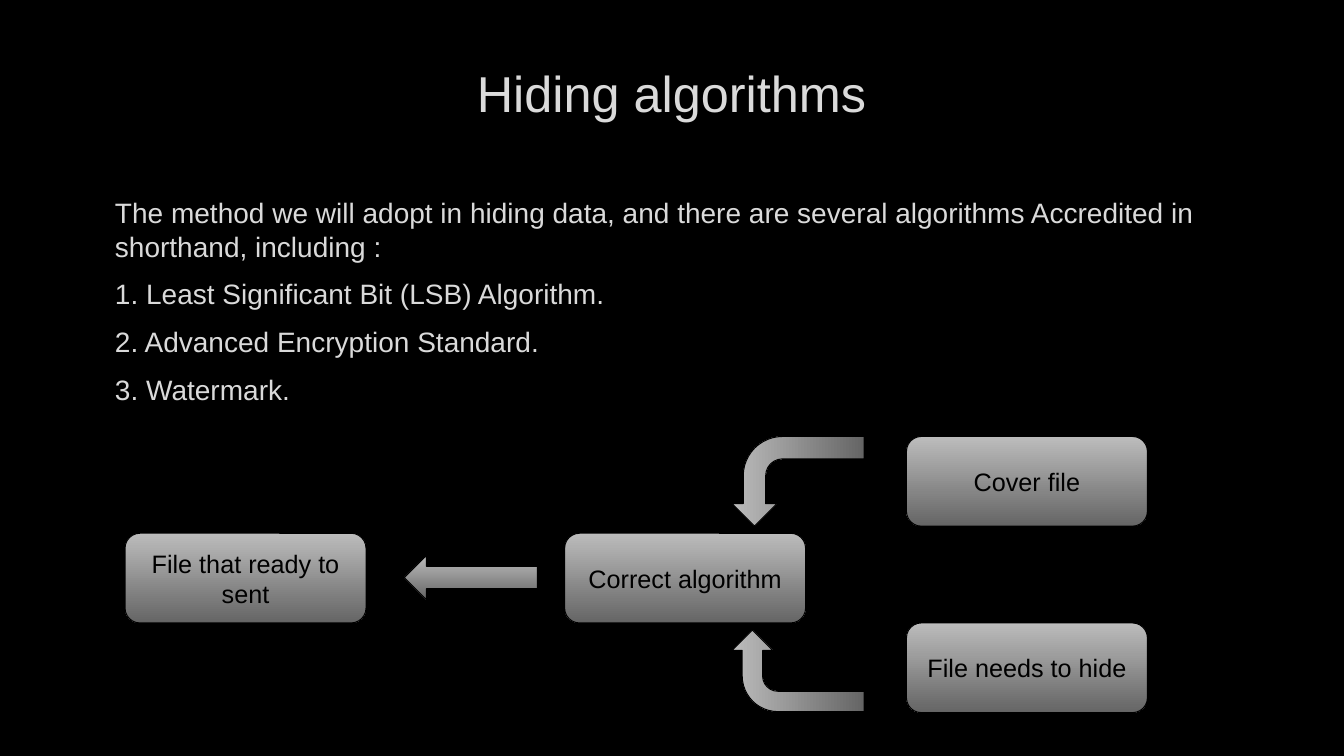
from lxml.etree import SubElement
from pptx import Presentation
from pptx.dml.color import RGBColor
from pptx.enum.shapes import MSO_SHAPE
from pptx.enum.text import MSO_ANCHOR, MSO_AUTO_SIZE, PP_ALIGN
from pptx.oxml import parse_xml
from pptx.oxml.ns import nsdecls, qn
from pptx.util import Inches, Pt

COLORS = {
    "background": "000000",
    "text": "DADADA",
    "outline": "404040",
    "light": "BCBCBC",
    "dark": "656565",
    "black": "000000",
}
FONT = "Arial"
BOX_WIDTH, BOX_HEIGHT = 2.39, 0.89


def color(name):
    return RGBColor.from_string(COLORS[name])


def apply(target, values):
    for name, value in values.items():
        setattr(target, name, value)


class SlideBuilder:
    """Holds the style and the slide being built."""

    def __init__(self, presentation):
        self.slide = presentation.slides.add_slide(presentation.slide_layouts[1])
        background = self.slide.background.fill
        background.solid()
        background.fore_color.rgb = color("background")

    def add_text(self, paragraph, text, size, color_name, **formats):
        run = paragraph.add_run()
        run.text = text
        apply(run.font, {"name": FONT, "size": Pt(size)})
        run.font.color.rgb = color(color_name)
        apply(paragraph, formats)
        return run

    def outline(self, run):
        line = parse_xml(
            f'<a:ln {nsdecls("a")} w="9525"><a:solidFill>'
            f'<a:srgbClr val="{COLORS["outline"]}"><a:alpha val="10000"/></a:srgbClr>'
            '</a:solidFill><a:prstDash val="solid"/></a:ln>')
        run._r.get_or_add_rPr().insert(0, line)

    def place(self, shape, left, top, width, height):
        apply(shape, {"left": Inches(left), "top": Inches(top),
                      "width": Inches(width), "height": Inches(height)})

    def title(self, text, *position):
        shape = self.slide.shapes.title
        self.place(shape, *position)
        # The deep bottom inset lifts the title above the middle of its box
        apply(shape.text_frame, {"vertical_anchor": MSO_ANCHOR.MIDDLE, "word_wrap": True,
                                 "auto_size": MSO_AUTO_SIZE.NONE, "margin_bottom": Inches(0.62)})
        self.outline(self.add_text(shape.text_frame.paragraphs[0], text, 36, "text",
                                   alignment=PP_ALIGN.CENTER))

    def body(self, lines, *position):
        shape = self.slide.placeholders[1]
        self.place(shape, *position)
        frame = shape.text_frame
        apply(frame, {"vertical_anchor": MSO_ANCHOR.TOP, "word_wrap": True,
                      "auto_size": MSO_AUTO_SIZE.NONE})
        for index, line in enumerate(lines):
            paragraph = frame.add_paragraph() if index else frame.paragraphs[0]
            self.outline(self.add_text(paragraph, line, 20, "text", alignment=PP_ALIGN.LEFT,
                                       space_before=Pt(4), space_after=Pt(6)))
            properties = paragraph._p.get_or_add_pPr()
            properties.set("marL", str(Inches(0.04)))
            properties.set("indent", "0")
            SubElement(properties, qn("a:buNone"))

    def gradient_shape(self, kind, *position, rotation=0, flip=False):
        shape = self.slide.shapes.add_shape(kind, *map(Inches, position))
        shape.shadow.inherit = False
        shape.rotation = rotation
        if flip:
            shape.element.spPr.get_or_add_xfrm().set("flipH", "1")
        shape.fill.gradient()
        shape.fill.gradient_angle = 270
        for stop, offset, name in zip(shape.fill.gradient_stops, (0, 1), ("light", "dark")):
            stop.position = offset
            stop.color.rgb = color(name)
        shape.line.color.rgb = color("black")
        shape.line.width = Pt(0.75)
        return shape

    def box(self, text, left, top):
        shape = self.gradient_shape(MSO_SHAPE.ROUNDED_RECTANGLE, left, top, BOX_WIDTH, BOX_HEIGHT)
        apply(shape.text_frame, {"word_wrap": True, "vertical_anchor": MSO_ANCHOR.MIDDLE})
        self.add_text(shape.text_frame.paragraphs[0], text, 18, "black", alignment=PP_ALIGN.CENTER)


def main():
    presentation = Presentation()
    apply(presentation, {"slide_width": Inches(13.33), "slide_height": Inches(7.5)})
    builder = SlideBuilder(presentation)

    # Title and list
    builder.title("Hiding algorithms", 1, 0.67, 11.32, 1.06)
    builder.body([
        "The method we will adopt in hiding data, and there are several algorithms "
        "Accredited in shorthand, including :",
        "1. Least Significant Bit (LSB) Algorithm.",
        "2. Advanced Encryption Standard.",
        "3. Watermark.",
    ], 1, 1.89, 11.32, 2.27)

    # Inputs and the arrows that lead from them
    builder.box("File needs to hide", 8.99, 6.18)
    builder.box("Cover file", 8.99, 4.33)
    builder.gradient_shape(MSO_SHAPE.BENT_ARROW, 7.47, 4.12, 0.89, 1.31, rotation=270, flip=True)
    builder.gradient_shape(MSO_SHAPE.BENT_ARROW, 7.51, 6, 0.81, 1.31, rotation=270)

    # Algorithm and result
    builder.box("Correct algorithm", 5.6, 5.29)
    builder.gradient_shape(MSO_SHAPE.LEFT_ARROW, 4.01, 5.51, 1.32, 0.44)
    builder.box("File that ready to sent", 1.24, 5.29)

    presentation.save("out.pptx")


if __name__ == "__main__":
    main()
